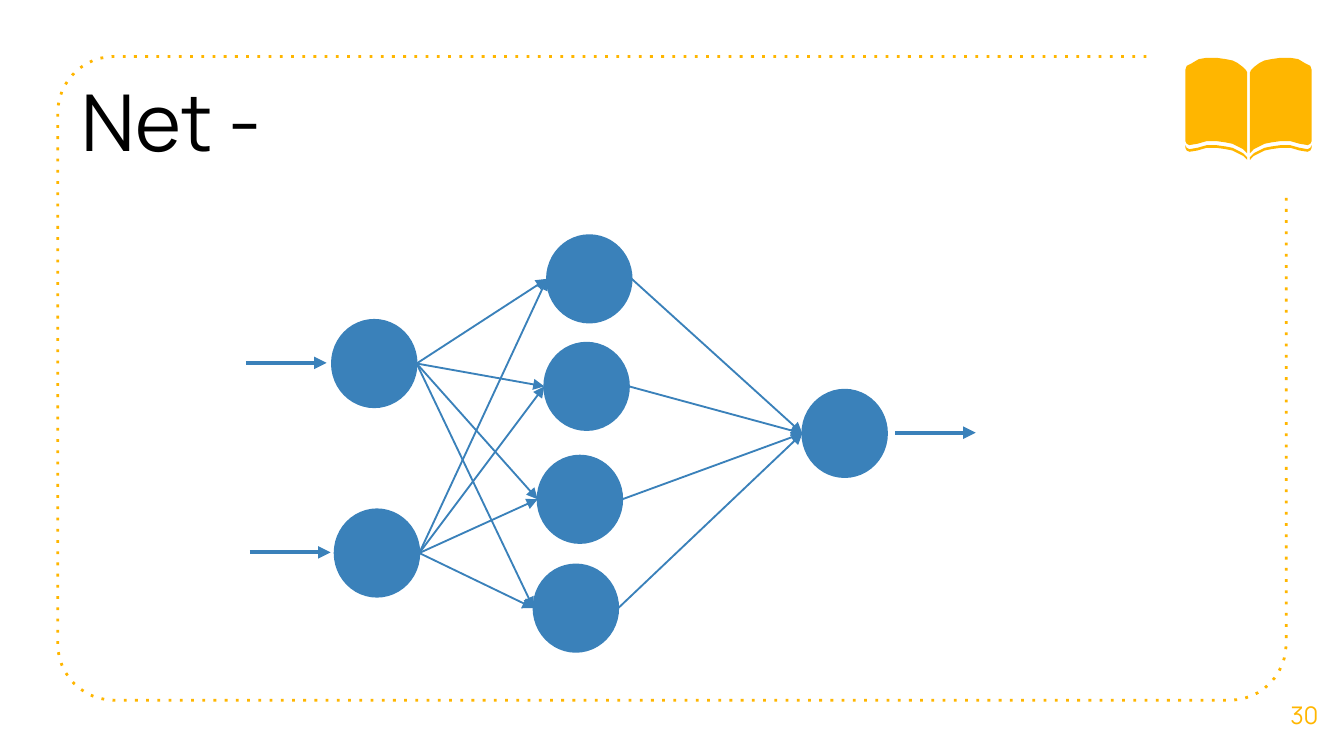
import math
from pptx import Presentation
from pptx.dml.color import RGBColor
from pptx.enum import shapes, text
from pptx.oxml import parse_xml
from pptx.oxml.ns import nsdecls, qn
from pptx.util import Inches, Pt

FONT, BLACK, YELLOW, BLUE = "Manrope", "000000", "FFB600", "3A81BA"

# Content
TITLE, NUMBER = "Net -", "30"
NODE_W, NODE_H = 0.63, 0.65
LAYERS = [  # left and top of each node
    [(2.47, 2.38), (2.49, 3.79)],
    [(4.07, 1.75), (4.05, 2.55), (4, 3.39), (3.97, 4.2)],
    [(5.97, 2.9)],
]
SIGNALS = [(1.83, 2.7), (1.86, 4.11), (6.66, 3.22)]  # starts of the outer arrows
SIGNAL_LENGTH = 0.6

# Dotted frame: edges, corner radius, and the gap left for the book
LEFT, TOP, RIGHT, BOTTOM, RADIUS = 0.43, 0.42, 9.57, 5.21, 0.42
GAP_X, GAP_Y = 8.53, 1.46

# Left half of the book; the right half mirrors it
SPINE_X = 9.29
PAGE_TOP = [(9.28, 0.54), (9.27, 0.52), (9.25, 0.5), (9.21, 0.47), (9.17, 0.45),
            (9.12, 0.44), (9.05, 0.43), (8.98, 0.43), (8.92, 0.44), (8.87, 0.47),
            (8.83, 0.49), (8.82, 0.52)]
PAGE_BOTTOM = [(8.82, 1.05), (8.83, 1.07), (8.85, 1.08), (8.91, 1.07), (8.98, 1.05),
               (9.05, 1.05), (9.12, 1.06), (9.17, 1.07), (9.21, 1.09), (9.25, 1.11),
               (9.28, 1.14)]


def color(value):
    return RGBColor.from_string(value)


def set_line(shape, value, width):
    shape.line.color.rgb = color(value)
    shape.line.width = Pt(width)


def add_line_detail(shape, tag, value_name, value):
    shape.line._get_or_add_ln().append(
        parse_xml(f'<a:{tag} {nsdecls("a")} {value_name}="{value}"/>'))


def add_outline(target, points, close):
    (x, y), *rest = [(Inches(x), Inches(y)) for x, y in points]
    builder = target.build_freeform(x, y)
    builder.add_line_segments(rest, close=close)
    shape = builder.convert_to_shape()
    shape.shadow.inherit = False
    return shape


def add_arrow(target, start, end, width):
    arrow = target.add_connector(shapes.MSO_CONNECTOR.STRAIGHT,
                                 *[Inches(value) for value in (*start, *end)])
    set_line(arrow, BLUE, width)
    add_line_detail(arrow, "tailEnd", "type", "triangle")
    properties = arrow._element.find(qn("p:spPr"))
    properties.append(parse_xml(f'<a:effectLst {nsdecls("a")}/>'))


def write(shape, words, size, value, align):
    frame = shape.text_frame
    frame.text = words
    frame.word_wrap = True
    frame.auto_size = text.MSO_AUTO_SIZE.NONE
    frame.vertical_anchor = text.MSO_ANCHOR.MIDDLE
    frame.margin_left = frame.margin_right = Inches(0.1)
    frame.margin_top = frame.margin_bottom = Inches(0.1)
    paragraph = frame.paragraphs[0]
    paragraph.alignment = align
    paragraph.font.name, paragraph.font.size = FONT, Pt(size)
    paragraph.font.color.rgb = color(value)


def corner(x, y, first_angle):
    """Quarter circle around x, y, turning anticlockwise."""
    angles = [math.radians(first_angle + step * 7.5) for step in range(13)]
    return [(x + RADIUS * math.cos(a), y - RADIUS * math.sin(a)) for a in angles]


# Widescreen slide, 16:9
presentation = Presentation()
presentation.slide_width = Inches(10)
presentation.slide_height = Inches(10 * 9 / 16)
slide = presentation.slides.add_slide(presentation.slide_layouts[5])

# Frame
near_x, far_x = LEFT + RADIUS, RIGHT - RADIUS
near_y, far_y = TOP + RADIUS, BOTTOM - RADIUS
frame_points = [(GAP_X, TOP), *corner(near_x, near_y, 90), *corner(near_x, far_y, 180),
                *corner(far_x, far_y, 270), (RIGHT, GAP_Y)]
border = add_outline(slide.shapes, frame_points, close=False)
border.fill.background()
set_line(border, YELLOW, 1.5)
add_line_detail(border, "prstDash", "val", "dot")

# Title and slide number
title = slide.shapes.title
title.left, title.top = Inches(0.51), Inches(0.42)
title.width, title.height = Inches(8.35), Inches(0.94)
write(title, TITLE, 42, BLACK, text.PP_ALIGN.LEFT)
number = slide.shapes.add_textbox(Inches(9.41), Inches(5.02), Inches(0.59), Inches(0.6))
write(number, NUMBER, 13, YELLOW, text.PP_ALIGN.CENTER)

# Book: a page and the cover edge below it, on both sides of the spine
upper_edge, lower_edge = ([(x, y + drop) for x, y in PAGE_BOTTOM] for drop in (0.03, 0.05))
book = slide.shapes.add_group_shape()
for half in (upper_edge + lower_edge[::-1], PAGE_TOP + PAGE_BOTTOM):
    mirrored = [(2 * SPINE_X - x, y) for x, y in half]
    for points in (half, mirrored):
        part = add_outline(book.shapes, points, close=True)
        part.fill.solid()
        part.fill.fore_color.rgb = color(YELLOW)
        part.line.fill.background()

# Network: nodes, then links between neighbouring layers
network = slide.shapes.add_group_shape()
for layer in LAYERS:
    for x, y in layer:
        node = network.shapes.add_shape(shapes.MSO_SHAPE.OVAL, Inches(x), Inches(y),
                                        Inches(NODE_W), Inches(NODE_H))
        node.shadow.inherit = False
        node.fill.solid()
        node.fill.fore_color.rgb = color(BLUE)
        set_line(node, BLUE, 1)

for sources, targets in zip(LAYERS, LAYERS[1:]):
    for x, y in sources:
        for end_x, end_y in targets:
            add_arrow(network.shapes, (x + NODE_W, y + NODE_H / 2),
                      (end_x, end_y + NODE_H / 2), 1)

# Input and output arrows
for x, y in SIGNALS:
    add_arrow(network.shapes, (x, y), (x + SIGNAL_LENGTH, y), 2.25)

presentation.save("out.pptx")
